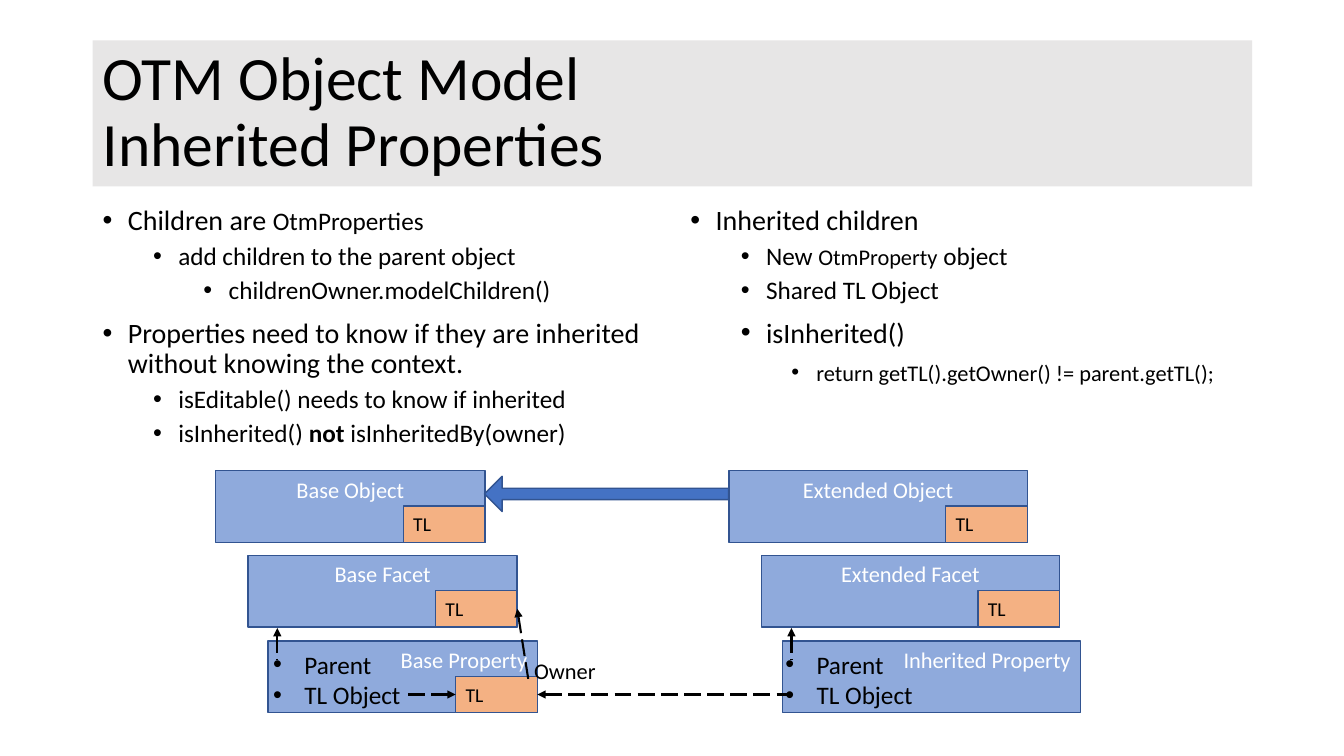
from dataclasses import dataclass
from typing import Optional

from lxml import etree
from pptx import Presentation
from pptx.dml.color import RGBColor
from pptx.enum.dml import MSO_LINE
from pptx.enum.shapes import MSO_CONNECTOR, MSO_SHAPE
from pptx.enum.text import MSO_ANCHOR, MSO_AUTO_SIZE, PP_ALIGN
from pptx.oxml.ns import qn
from pptx.util import Inches, Pt

RECT, ARROW = MSO_SHAPE.RECTANGLE, MSO_SHAPE.DOWN_ARROW
LINE, DASH = MSO_CONNECTOR.STRAIGHT, MSO_LINE.LONG_DASH
TOP, MIDDLE = MSO_ANCHOR.TOP, MSO_ANCHOR.MIDDLE
LEFT, CENTER, RIGHT = PP_ALIGN.LEFT, PP_ALIGN.CENTER, PP_ALIGN.RIGHT
GROW = MSO_AUTO_SIZE.SHAPE_TO_FIT_TEXT
WEST, EAST = 1, 3


@dataclass(frozen=True)
class Theme:
    font: str = "Calibri"
    black: str = "000000"
    white: str = "FFFFFF"
    grey: str = "E7E6E6"
    blue: str = "8FAADC"
    deep: str = "4472C4"
    edge: str = "325491"
    orange: str = "F4B183"
    title: int = 44
    large: int = 20
    body: int = 18
    label: int = 16
    chip: int = 14


@dataclass(frozen=True)
class Run:
    text: str
    size: int
    bold: bool = False


@dataclass(frozen=True)
class Item:
    level: int
    runs: tuple[Run, ...]
    space: float = 0.9


@dataclass(frozen=True)
class Box:
    name: str
    x: float
    y: float
    w: float
    align: PP_ALIGN = CENTER
    chip: bool = True


@dataclass(frozen=True)
class Link:
    start: tuple[float, float]
    end: tuple[float, float]
    box: Optional[str] = None
    side: int = WEST


T = Theme()
BASE, EXT = 2.67, 2.96
BOX_H, CHIP_W, CHIP_H = 0.71, 0.81, 0.36
ROWS = (4.67, 5.51, 6.36)

LEFT_LIST = (
    Item(0, (Run("Children are ", T.large), Run("OtmProperties", T.body))),
    Item(1, (Run("add children to the parent object", T.body),)),
    Item(2, (Run("childrenOwner.modelChildren()", T.body),)),
    Item(0, (Run("Properties need to know if they are inherited "
                 "without knowing the context.", T.large),)),
    Item(1, (Run("isEditable() needs to know if inherited", T.body),)),
    Item(1, (Run("isInherited() ", T.body), Run("not ", T.body, True),
             Run("isInheritedBy(owner)", T.body))),
)
RIGHT_LIST = (
    Item(0, (Run("Inherited children", T.large),)),
    Item(1, (Run("New ", T.body), Run("OtmProperty", T.label),
             Run(" object", T.body))),
    Item(1, (Run("Shared TL Object", T.body),)),
    Item(1, (Run("isInherited()", T.large),), 1.1),
    Item(2, (Run("return getTL().getOwner() != parent.getTL();", T.label),), 1.1),
)
BOXES = (
    Box("Extended Object", 7.23, ROWS[0], EXT),
    Box("Base Object", 2.14, ROWS[0], BASE),
    Box("Extended Facet", 7.55, ROWS[1], EXT),
    Box("Base Facet", 2.46, ROWS[1], BASE),
    Box("Inherited Property", 7.76, ROWS[2], EXT, RIGHT, False),
    Box("Base Property", 2.66, ROWS[2], BASE, RIGHT),
)
LINKS = (
    Link((7.85, 6.23), (7.85, 6.54)),
    Link((5.34, 6.89), (7.85, 6.89), "Base Property", EAST),
    Link((2.75, 6.23), (2.75, 6.54)),
    Link((4.53, 6.89), (4, 6.89), "Base Property", WEST),
    Link((5.13, 6.05), (5.24, 6.74), "Base Facet", EAST),
)


def add_run(para, run: Run, color: str = T.black) -> None:
    part = para.add_run()
    part.text = run.text
    font = part.font
    font.name, font.size, font.bold = T.font, Pt(run.size), run.bold
    font.color.rgb = RGBColor.from_string(color)


def add_bullet(para, left: float, hang: float) -> None:
    props = para._p.get_or_add_pPr()
    props.set("marL", str(Inches(left)))
    props.set("indent", str(-Inches(hang)))
    etree.SubElement(props, qn("a:buFont")).set("typeface", "Arial")
    etree.SubElement(props, qn("a:buChar")).set("char", "•")


def add_block(slide, kind, x: float, y: float, w: float, h: float,
              fill: str, edge: Optional[str] = T.edge):
    shape = slide.shapes.add_shape(kind, Inches(x), Inches(y), Inches(w), Inches(h))
    shape.shadow.inherit = False
    shape.fill.solid()
    shape.fill.fore_color.rgb = RGBColor.from_string(fill)
    if edge:
        shape.line.color.rgb = RGBColor.from_string(edge)
        shape.line.width = Pt(1)
    else:
        shape.line.fill.background()
    return shape


def first_para(shape, anchor: MSO_ANCHOR, align: PP_ALIGN):
    shape.text_frame.vertical_anchor = anchor
    para = shape.text_frame.paragraphs[0]
    para.alignment = align
    return para


def add_text(slide, x: float, y: float, w: float, h: float, wrap: bool = True):
    box = slide.shapes.add_textbox(Inches(x), Inches(y), Inches(w), Inches(h))
    box.text_frame.word_wrap = wrap
    return box.text_frame


def add_list(slide, x: float, h: float, items: tuple[Item, ...]) -> None:
    frame = add_text(slide, x, 2, 5.67, h)
    for i, item in enumerate(items):
        para = frame.add_paragraph() if i else frame.paragraphs[0]
        para.level = item.level
        para.line_spacing = item.space
        para.space_before = Pt(5 if item.level else 10)
        add_bullet(para, 0.25 + 0.5 * item.level, 0.25)
        for run in item.runs:
            add_run(para, run)


def add_box(slide, box: Box):
    shape = add_block(slide, RECT, box.x, box.y, box.w, BOX_H, T.blue)
    add_run(first_para(shape, TOP, box.align), Run(box.name, T.label), T.white)
    if not box.chip:
        return None
    chip = add_block(slide, RECT, box.x + box.w - CHIP_W,
                     box.y + BOX_H - CHIP_H, CHIP_W, CHIP_H, T.orange)
    add_run(first_para(chip, MIDDLE, LEFT), Run("TL", T.chip))
    return chip


def add_fields(slide, x: float) -> None:
    frame = add_text(slide, x, 6.39, 1.48, BOX_H, wrap=False)
    frame.auto_size = GROW
    for i, name in enumerate(("Parent", "TL Object")):
        para = frame.add_paragraph() if i else frame.paragraphs[0]
        add_bullet(para, 0.31, 0.31)
        add_run(para, Run(name, T.body))


def add_link(slide, link: Link, chips: dict) -> None:
    ends = [Inches(n) for n in link.start + link.end]
    line = slide.shapes.add_connector(LINE, *ends)
    if link.box:
        line.begin_connect(chips[link.box], link.side)
    line.line.color.rgb = RGBColor.from_string(T.black)
    line.line.width = Pt(1.5)
    line.line.dash_style = DASH
    etree.SubElement(line.line._get_or_add_ln(), qn("a:headEnd")).set("type", "triangle")
    etree.SubElement(line._element.spPr, qn("a:effectLst"))


def main() -> None:
    deck = Presentation()
    deck.slide_width, deck.slide_height = Inches(13.33), Inches(7.5)
    slide = deck.slides.add_slide(deck.slide_layouts[6])

    # Title band
    band = add_block(slide, RECT, 0.92, 0.4, 11.5, 1.45, T.grey, None)
    para = first_para(band, MIDDLE, LEFT)
    para.line_spacing = 0.9
    add_run(para, Run("OTM Object Model", T.title))
    para.add_line_break()
    add_run(para, Run("Inherited Properties", T.title))

    # Bullet columns
    add_list(slide, 0.92, 2.8, LEFT_LIST)
    add_list(slide, 6.75, 3.02, RIGHT_LIST)

    # Object boxes and the arrow from extended to base
    chips = {box.name: add_box(slide, box) for box in BOXES}
    arrow = add_block(slide, ARROW, 5.84, 3.69, 0.35, 2.42, T.deep)
    arrow.rotation = 90
    arrow.adjustments[0], arrow.adjustments[1] = 0.324, 0.5

    # Property fields, links and owner label
    for x in (7.69, 2.61):
        add_fields(slide, x)
    for link in LINKS:
        add_link(slide, link, chips)
    owner = add_text(slide, 5.2, 6.47, 1.48, 0.37)
    owner.auto_size = GROW
    add_run(owner.paragraphs[0], Run("Owner", T.label))

    deck.save("out.pptx")


if __name__ == "__main__":
    main()
